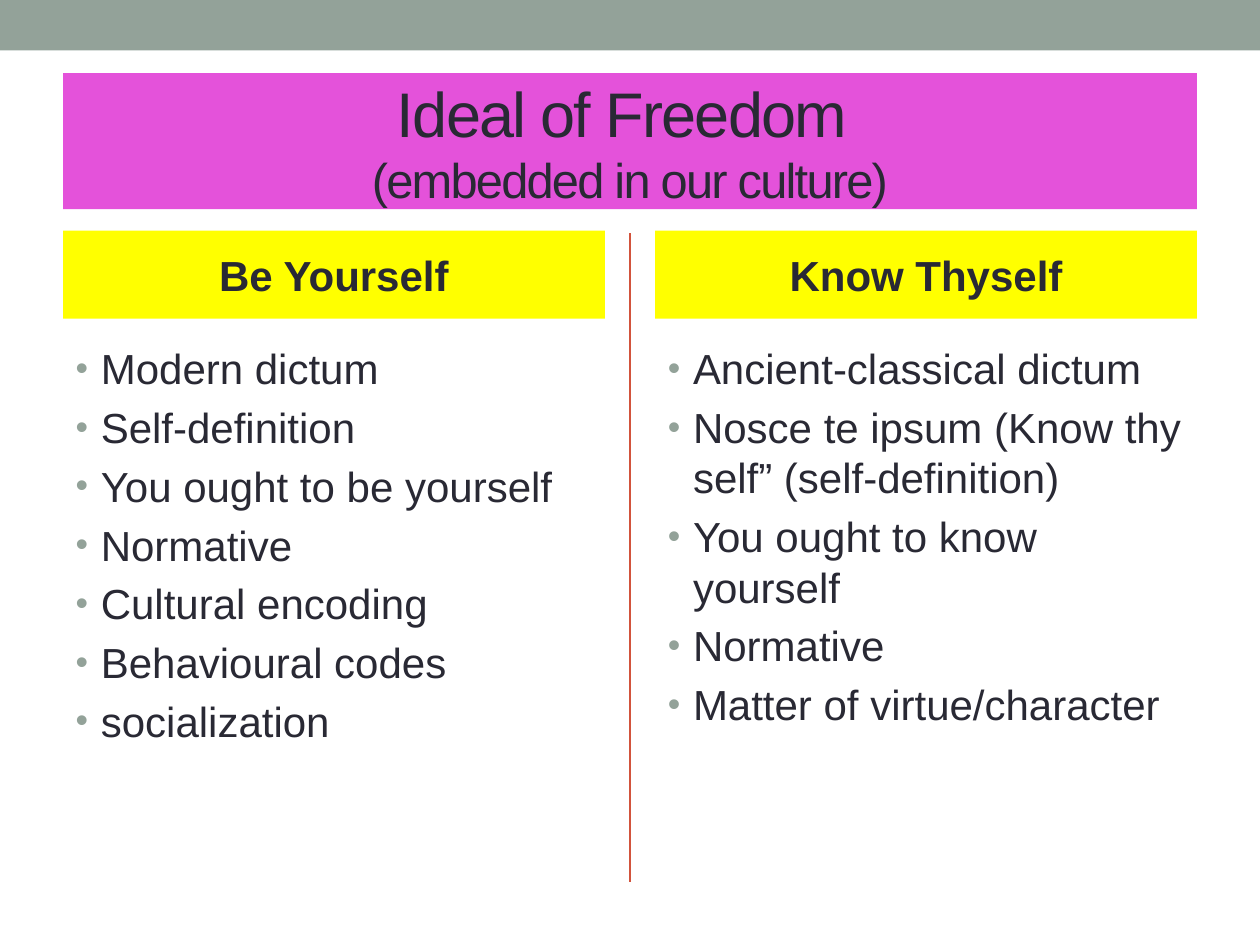
"""Build the "Ideal of Freedom" comparison slide."""
from dataclasses import dataclass

from lxml import etree
from pptx import Presentation
from pptx import util as u
from pptx.dml.color import RGBColor
from pptx.enum import shapes, text
from pptx.oxml import ns


@dataclass(frozen=True)
class Theme:
    font: str = "Arial"
    ink: str = "292934"
    band: str = "93A299"
    title_fill: str = "E452DA"
    heading_fill: str = "FFFF00"
    divider: str = "D2533C"
    title_size: float = 36
    subtitle_size: float = 27.9
    body_size: float = 24
    paragraph_gap: float = 4.8


@dataclass(frozen=True)
class Area:
    col: float
    row: float
    cols: float
    rows: float


@dataclass(frozen=True)
class Side:
    col: float
    heading_idx: int
    list_idx: int
    heading: str
    points: tuple[str, ...]


THEME = Theme()
COLUMNS, ROWS = 100, 75
CELL = u.Inches(10) // COLUMNS
SIDE_COLS = 43
SIDES = (
    Side(5, 1, 2, "Be Yourself", (
        "Modern dictum",
        "Self-definition",
        "You ought to be yourself",
        "Normative",
        "Cultural encoding",
        "Behavioural codes",
        "socialization",
    )),
    Side(52, 3, 4, "Know Thyself", (
        "Ancient-classical dictum",
        "Nosce te ipsum (Know thy self” (self-definition)",
        "You ought to know yourself",
        "Normative",
        "Matter of virtue/character",
    )),
)


def cells(count: float) -> int:
    """Convert grid cells to a length."""
    return round(count * CELL)


def paint(shape, color: str) -> None:
    """Give a shape a solid fill."""
    shape.fill.solid()
    shape.fill.fore_color.rgb = RGBColor.from_string(color)


def place(shape, area: Area, anchor=text.MSO_ANCHOR.MIDDLE) -> None:
    """Move a placeholder onto the grid and fix its text frame."""
    shape.left, shape.top = cells(area.col), cells(area.row)
    shape.width, shape.height = cells(area.cols), cells(area.rows)
    frame = shape.text_frame
    frame.word_wrap = True
    frame.auto_size = text.MSO_AUTO_SIZE.NONE
    frame.vertical_anchor = anchor


def write(paragraph, words: str, *, size: float = THEME.body_size, bold: bool = False,
          align=text.PP_ALIGN.LEFT, before: float = 0, tracking: float = 0) -> None:
    """Append a formatted run to a paragraph."""
    paragraph.alignment = align
    paragraph.space_before = u.Pt(before)
    run = paragraph.add_run()
    run.text = words
    run.font.name, run.font.size, run.font.bold = THEME.font, u.Pt(size), bold
    run.font.color.rgb = RGBColor.from_string(THEME.ink)
    if tracking:
        run.font._element.set("spc", str(round(tracking * 100)))


def add_bullet(paragraph) -> None:
    """Hang a small coloured bullet in front of a paragraph."""
    props = paragraph._p.get_or_add_pPr()
    props.set("marL", str(cells(2)))
    props.set("indent", str(cells(-2)))
    color = etree.SubElement(props, ns.qn("a:buClr"))
    etree.SubElement(color, ns.qn("a:srgbClr"), val=THEME.band)
    etree.SubElement(props, ns.qn("a:buSzPct"), val="85000")
    etree.SubElement(props, ns.qn("a:buFont"), typeface=THEME.font)
    etree.SubElement(props, ns.qn("a:buChar"), char="•")


def draw_band(slide) -> None:
    """Draw the strip along the top edge."""
    band = slide.shapes.add_shape(shapes.MSO_SHAPE.RECTANGLE, 0, 0, cells(COLUMNS), cells(4))
    band.shadow.inherit = False
    paint(band, THEME.band)
    band.line.fill.background()


def draw_divider(slide) -> None:
    """Draw the vertical rule between the two sides."""
    middle = cells(COLUMNS / 2)
    divider = slide.shapes.add_connector(
        shapes.MSO_CONNECTOR.STRAIGHT, middle, cells(18.5), middle, cells(70))
    divider.line.color.rgb = RGBColor.from_string(THEME.divider)
    divider.line.width = u.Pt(1.5)
    etree.SubElement(divider._element.spPr, ns.qn("a:effectLst"))


def draw_title(slide) -> None:
    """Fill the title placeholder with its two lines."""
    title = slide.shapes.title
    place(title, Area(5, 5.8, 90, 10.8))
    paint(title, THEME.title_fill)
    heading = title.text_frame.paragraphs[0]
    style = dict(align=text.PP_ALIGN.CENTER, tracking=-1)
    write(heading, "Ideal of Freedom ", size=THEME.title_size, **style)
    heading.add_line_break()
    write(heading, "(embedded in our culture)", size=THEME.subtitle_size, **style)


def draw_side(slide, side: Side) -> None:
    """Fill one heading and the list beneath it."""
    placeholders = {p.placeholder_format.idx: p for p in slide.placeholders}
    heading, points = placeholders[side.heading_idx], placeholders[side.list_idx]
    place(heading, Area(side.col, 18.3, SIDE_COLS, 7))
    paint(heading, THEME.heading_fill)
    write(heading.text_frame.paragraphs[0], side.heading, bold=True,
          align=text.PP_ALIGN.CENTER)
    place(points, Area(side.col, 26.7, SIDE_COLS, 43.2), text.MSO_ANCHOR.TOP)
    frame = points.text_frame
    for number, point in enumerate(side.points):
        paragraph = frame.add_paragraph() if number else frame.paragraphs[0]
        add_bullet(paragraph)
        write(paragraph, point, before=THEME.paragraph_gap if number else 0)


def main() -> None:
    """Assemble and save the slide."""
    deck = Presentation()
    deck.slide_width, deck.slide_height = cells(COLUMNS), cells(ROWS)
    slide = deck.slides.add_slide(deck.slide_layouts.get_by_name("Comparison"))
    draw_band(slide)
    draw_divider(slide)
    draw_title(slide)
    for side in SIDES:
        draw_side(slide, side)
    deck.save("out.pptx")


if __name__ == "__main__":
    main()
